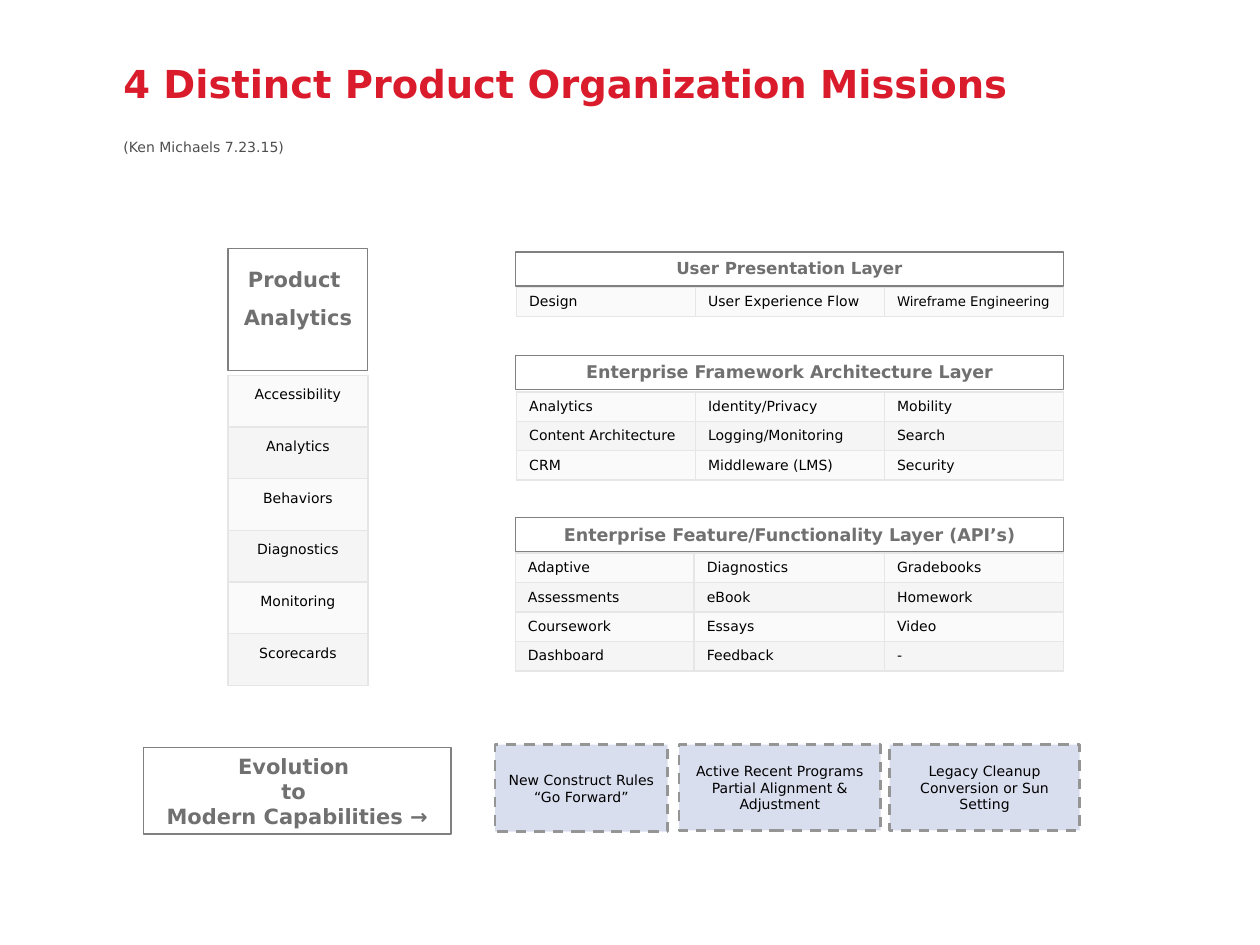
from lxml import etree
from pptx import Presentation
from pptx.dml.color import RGBColor
from pptx.enum.dml import MSO_LINE
from pptx.enum.shapes import MSO_SHAPE
from pptx.enum.text import MSO_ANCHOR, PP_ALIGN
from pptx.oxml.ns import qn
from pptx.util import Inches, Pt

TOP, MIDDLE, BOTTOM = MSO_ANCHOR.TOP, MSO_ANCHOR.MIDDLE, MSO_ANCHOR.BOTTOM
LEFT, CENTER = PP_ALIGN.LEFT, PP_ALIGN.CENTER
DASH = MSO_LINE.DASH
RECTANGLE = MSO_SHAPE.RECTANGLE

FONT = "DejaVu Sans"
COLORS = {
    "title": "DA1B2C", "subtitle": "4E4E4E", "heading": "707070", "text": "000000",
    "outline": "808080", "dashes": "959595", "step": "D9DEEF",
    "border": "E6E6E6", "odd": "FAFAFA", "even": "F5F5F5",
}

TITLE = "4 Distinct Product Organization Missions"
SUBTITLE = "(Ken Michaels 7.23.15)"

# heading, heading size, heading top, table left, table top, column widths, rows
LAYERS = [
    ("User Presentation Layer", 9.5, 2, 4.1, 2.28, (1.42, 1.5, 1.42), [
        ("Design", "User Experience Flow", "Wireframe Engineering"),
    ]),
    ("Enterprise Framework Architecture Layer", 10, 2.82, 4.1, 3.11, (1.42, 1.5, 1.42), [
        ("Analytics", "Identity/Privacy", "Mobility"),
        ("Content Architecture", "Logging/Monitoring", "Search"),
        ("CRM", "Middleware (LMS)", "Security"),
    ]),
    ("Enterprise Feature/Functionality Layer (API’s)", 10, 4.11, 4.09, 4.39, (1.42, 1.51, 1.42), [
        ("Adaptive", "Diagnostics", "Gradebooks"),
        ("Assessments", "eBook", "Homework"),
        ("Coursework", "Essays", "Video"),
        ("Dashboard", "Feedback", "-"),
    ]),
]
LAYER_LEFT, LAYER_WIDTH, LAYER_HEIGHT, LAYER_ROW = 4.09, 4.35, 0.27, 0.23

VERTICAL = "Product \nAnalytics"
VERTICAL_ITEMS = ["Accessibility", "Analytics", "Behaviors",
                  "Diagnostics", "Monitoring", "Scorecards"]
VERTICAL_LEFT, VERTICAL_WIDTH, VERTICAL_ROW = 1.81, 1.11, 0.41

EVOLUTION = "Evolution \nto \nModern Capabilities →"
# text, left, width, height
STEPS = [
    ("New Construct Rules “Go Forward”", 3.93, 1.37, 0.69),
    ("Active Recent Programs Partial Alignment & Adjustment", 5.39, 1.6, 0.68),
    ("Legacy Cleanup\nConversion or Sun Setting", 7.06, 1.51, 0.68),
]
STEP_TOP = 5.91


def rgb(name):
    return RGBColor.from_string(COLORS[name])


def write(frame, text, size, color, bold=False, align=LEFT):
    paragraph = frame.paragraphs[0]
    paragraph.text = text
    paragraph.alignment = align
    font = paragraph.font
    font.name, font.size, font.bold = FONT, Pt(size), bold
    font.color.rgb = rgb(color)
    return paragraph


def add_line_of_text(slide, text, area, size, color, bold=False, anchor=TOP):
    frame = slide.shapes.add_textbox(*map(Inches, area)).text_frame
    frame.word_wrap = True
    frame.vertical_anchor = anchor
    frame.margin_left = frame.margin_right = frame.margin_top = frame.margin_bottom = 0
    return write(frame, text, size, color, bold)


def add_box(slide, text, area, size, color="heading", bold=True, anchor=TOP,
            fill=None, line="outline", line_width=0.75, dash=None):
    box = slide.shapes.add_shape(RECTANGLE, *map(Inches, area))
    box.shadow.inherit = False
    if fill:
        box.fill.solid()
        box.fill.fore_color.rgb = rgb(fill)
    else:
        box.fill.background()
    box.line.color.rgb = rgb(line)
    box.line.width = Pt(line_width)
    if dash:
        box.line.dash_style = dash
    box.text_frame.word_wrap = True
    box.text_frame.vertical_anchor = anchor
    return write(box.text_frame, text, size, color, bold, CENTER)


def add_borders(cell):
    properties = cell._tc.get_or_add_tcPr()
    for side in ("a:lnL", "a:lnR", "a:lnT", "a:lnB"):
        line = etree.SubElement(properties, qn(side), w=str(Pt(1)))
        fill = etree.SubElement(line, qn("a:solidFill"))
        etree.SubElement(fill, qn("a:srgbClr"), val=COLORS["border"])


def add_grid(slide, rows, left, top, widths, row_height,
             align=LEFT, anchor=MIDDLE, bottom_margin=0.05):
    table = slide.shapes.add_table(
        len(rows), len(widths), Inches(left), Inches(top),
        Inches(sum(widths)), Inches(row_height * len(rows))).table
    table.first_row = table.horz_banding = False
    for column, width in zip(table.columns, widths):
        column.width = Inches(width)
    for r, row in enumerate(rows):
        for c, text in enumerate(row):
            cell = table.cell(r, c)
            add_borders(cell)
            cell.fill.solid()
            cell.fill.fore_color.rgb = rgb("even" if r % 2 else "odd")
            cell.vertical_anchor = anchor
            cell.margin_bottom = Inches(bottom_margin)
            size = 7.6 if text == "Wireframe Engineering" else 8
            write(cell.text_frame, text, size, "text", align=align)


def main():
    deck = Presentation()
    deck.slide_width, deck.slide_height = Inches(10), Inches(7.5)
    slide = deck.slides.add_slide(deck.slide_layouts[6])

    add_line_of_text(slide, TITLE, (0.98, 0.48, 8.03, 0.36), 22, "title", bold=True)
    subtitle = add_line_of_text(slide, SUBTITLE, (0.98, 0.89, 8.04, 0.34), 8,
                                "subtitle", anchor=BOTTOM)
    subtitle.line_spacing = 1.1

    for heading, size, top, grid_left, grid_top, widths, rows in LAYERS:
        add_box(slide, heading, (LAYER_LEFT, top, LAYER_WIDTH, LAYER_HEIGHT), size)
        add_grid(slide, rows, grid_left, grid_top, widths, LAYER_ROW)

    vertical = add_box(slide, VERTICAL, (VERTICAL_LEFT, 1.97, VERTICAL_WIDTH, 0.97), 12)
    vertical.line_spacing = 1.5
    add_grid(slide, [(item,) for item in VERTICAL_ITEMS], VERTICAL_LEFT, 2.98,
             (VERTICAL_WIDTH,), VERTICAL_ROW, CENTER, BOTTOM, 0.19)

    add_box(slide, EVOLUTION, (1.14, 5.93, 2.44, 0.69), 12)
    for text, left, width, height in STEPS:
        add_box(slide, text, (left, STEP_TOP, width, height), 8, "text", False, MIDDLE,
                fill="step", line="dashes", line_width=1.5, dash=DASH)

    deck.save("out.pptx")


if __name__ == "__main__":
    main()
